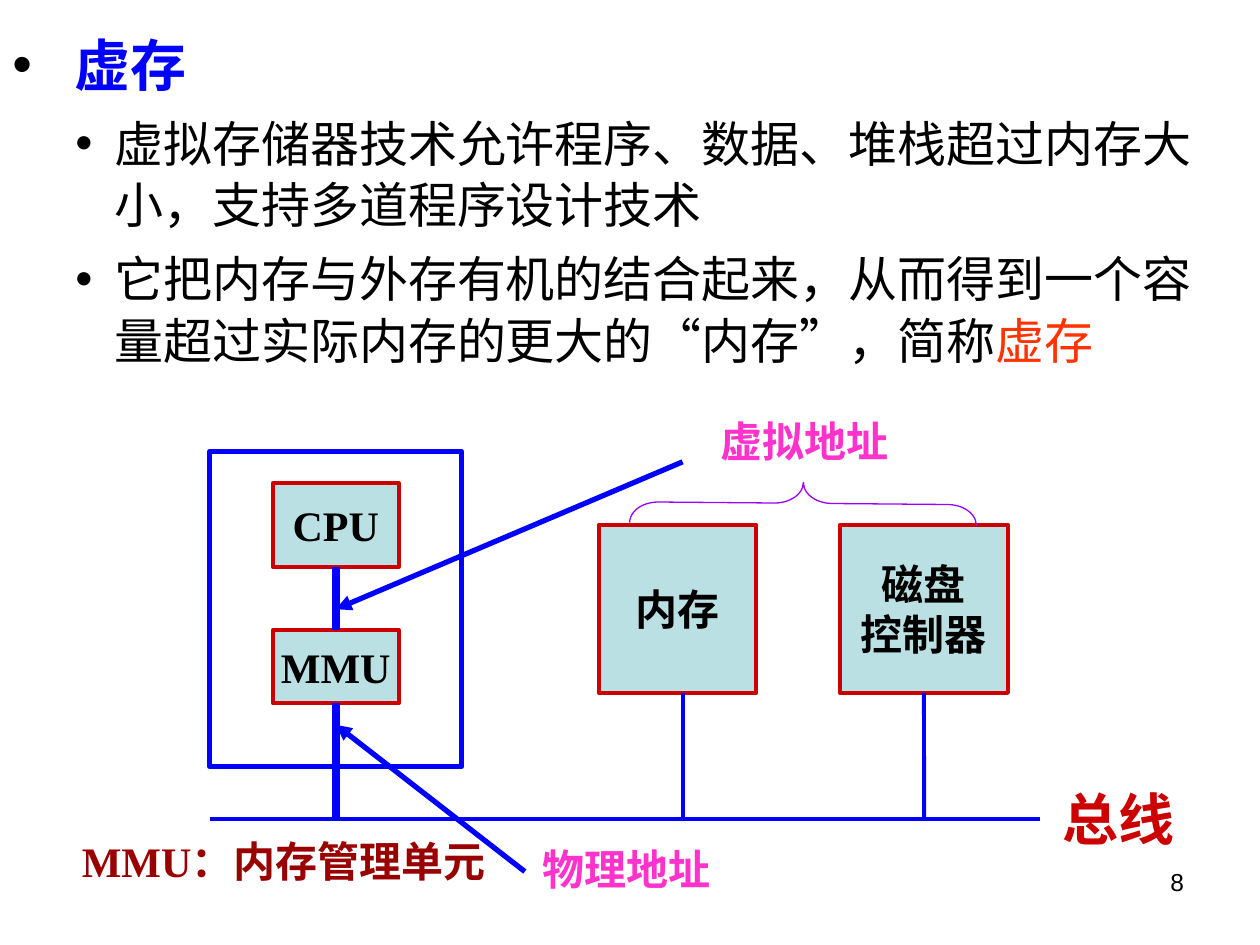
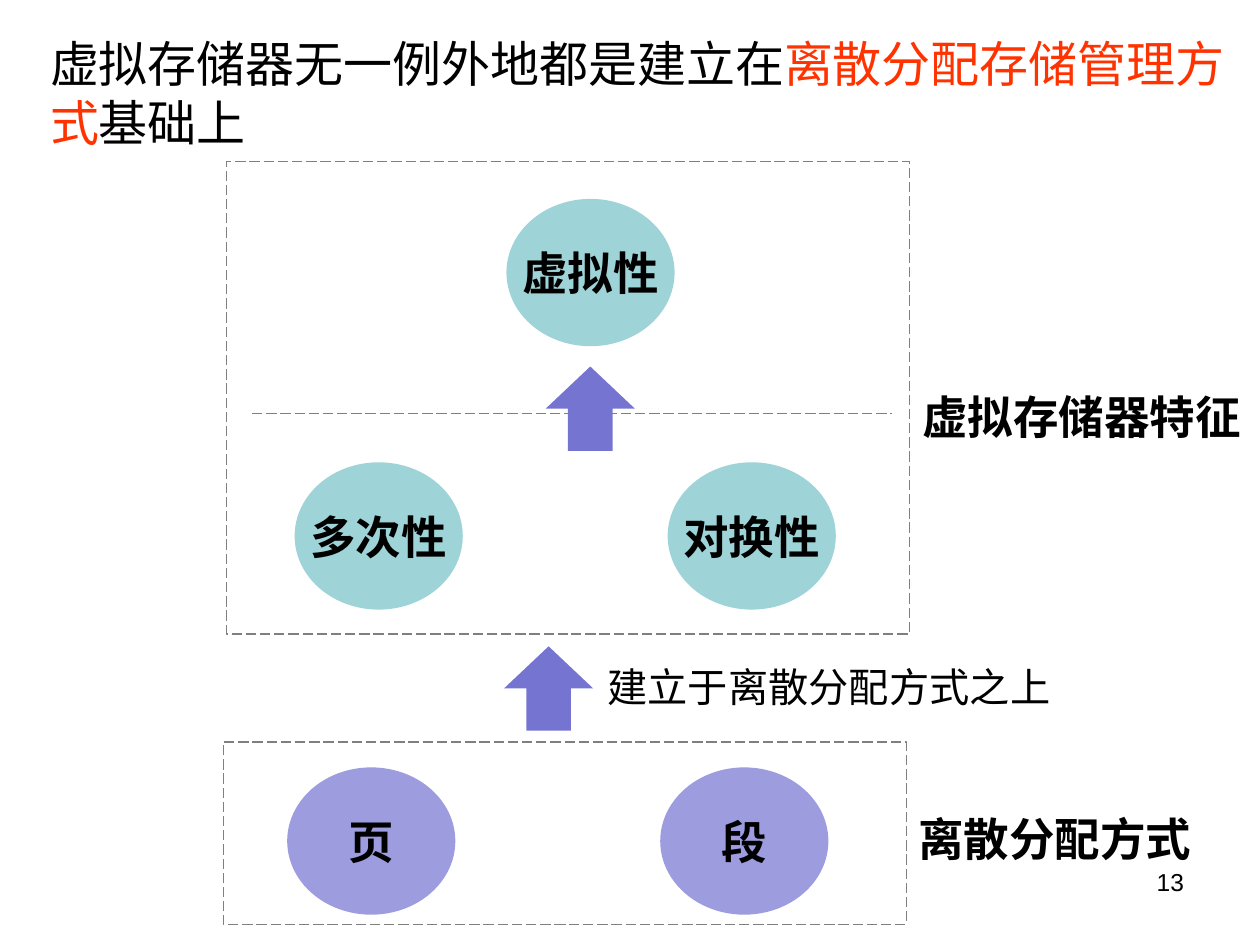
from dataclasses import dataclass

from lxml import etree
from pptx import Presentation
from pptx.dml.color import RGBColor
from pptx.enum.dml import MSO_LINE
from pptx.enum.shapes import MSO_CONNECTOR, MSO_SHAPE
from pptx.enum.text import MSO_ANCHOR, MSO_AUTO_SIZE, PP_ALIGN
from pptx.oxml.ns import qn
from pptx.shapes.autoshape import Shape
from pptx.shapes.connector import Connector
from pptx.slide import Slide
from pptx.text.text import TextFrame, _Paragraph
from pptx.util import Cm, Pt

RECT, OVAL = MSO_SHAPE.RECTANGLE, MSO_SHAPE.OVAL
ARROW, BRACE = MSO_SHAPE.UP_ARROW, MSO_SHAPE.LEFT_BRACE
LEFT, CENTER, RIGHT = PP_ALIGN.LEFT, PP_ALIGN.CENTER, PP_ALIGN.RIGHT
MIDDLE = MSO_ANCHOR.MIDDLE
GROW = MSO_AUTO_SIZE.SHAPE_TO_FIT_TEXT
DASH = MSO_LINE.LONG_DASH
STRAIGHT = MSO_CONNECTOR.STRAIGHT
TOP, BOTTOM = 0, 2

BLACK = RGBColor(0x00, 0x00, 0x00)
BLUE = RGBColor(0x00, 0x00, 0xFF)
RED = RGBColor(0xCC, 0x00, 0x00)
DARK_RED = RGBColor(0x99, 0x00, 0x00)
ORANGE = RGBColor(0xFF, 0x33, 0x00)
PINK = RGBColor(0xFF, 0x33, 0xCC)
PURPLE = RGBColor(0x99, 0x00, 0xFF)
GRAY = RGBColor(0x7F, 0x7F, 0x7F)
PALE = RGBColor(0xBB, 0xE0, 0xE3)
TEAL = RGBColor(0x9E, 0xD3, 0xD7)
LILAC = RGBColor(0x9C, 0x9C, 0xDF)
INDIGO = RGBColor(0x75, 0x75, 0xD1)

SANS, SERIF = "Arial", "Times New Roman"
Run = tuple[str, RGBColor]


@dataclass(frozen=True)
class Block:
    x: float
    y: float
    w: float
    h: float
    text: str = ""
    kind: MSO_SHAPE = RECT
    fill: RGBColor | None = None
    line: RGBColor | None = None
    width: float = 2.25
    dashed: bool = False
    size: float = 24


@dataclass(frozen=True)
class Label:
    text: str
    x: float
    y: float
    w: float
    h: float
    size: float = 24
    color: RGBColor = BLACK
    bold: bool = True
    align: PP_ALIGN = LEFT
    font: str = SERIF


@dataclass(frozen=True)
class Wire:
    x1: float
    y1: float
    x2: float
    y2: float
    width: float = 2.25
    color: RGBColor = BLUE
    head: bool = False
    dashed: bool = False


@dataclass(frozen=True)
class Point:
    runs: tuple[Run, ...]
    size: float
    margin: float
    hang: float
    level: int = 0
    before: float = 0
    bold: bool = False


def set_font(para: _Paragraph, name: str, size: float, bold: bool) -> None:
    para.font.name = name
    para.font.size = Pt(size)
    para.font.bold = bold


def add_runs(para: _Paragraph, runs: tuple[Run, ...]) -> None:
    for text, color in runs:
        run = para.add_run()
        run.text = text
        run.font.color.rgb = color


def write(frame: TextFrame, text: str, name: str, size: float, color: RGBColor,
          bold: bool, align: PP_ALIGN) -> None:
    frame.text = text
    for para in frame.paragraphs:
        para.alignment = align
        set_font(para, name, size, bold)
        para.font.color.rgb = color


def add_block(slide: Slide, block: Block) -> Shape:
    shape = slide.shapes.add_shape(
        block.kind, Cm(block.x), Cm(block.y), Cm(block.w), Cm(block.h))
    shape.shadow.inherit = False
    if block.fill is None:
        shape.fill.background()
    else:
        shape.fill.solid()
        shape.fill.fore_color.rgb = block.fill
    if block.line is None:
        shape.line.fill.background()
    else:
        shape.line.color.rgb = block.line
        shape.line.width = Pt(block.width)
    if block.dashed:
        shape.line.dash_style = DASH
    if block.text:
        frame = shape.text_frame
        frame.word_wrap = False
        frame.vertical_anchor = MIDDLE
        write(frame, block.text, SERIF, block.size, BLACK, True, CENTER)
    return shape


def add_label(slide: Slide, label: Label) -> None:
    box = slide.shapes.add_textbox(
        Cm(label.x), Cm(label.y), Cm(label.w), Cm(label.h))
    frame = box.text_frame
    frame.word_wrap = False
    frame.auto_size = GROW
    write(frame, label.text, label.font, label.size, label.color,
          label.bold, label.align)


def add_wire(slide: Slide, wire: Wire) -> Connector:
    line = slide.shapes.add_connector(
        STRAIGHT, Cm(wire.x1), Cm(wire.y1), Cm(wire.x2), Cm(wire.y2))
    line.line.color.rgb = wire.color
    line.line.width = Pt(wire.width)
    if wire.dashed:
        line.line.dash_style = DASH
    if wire.head:
        etree.SubElement(line.line._get_or_add_ln(), qn("a:tailEnd"), type="triangle")
    etree.SubElement(line._element.spPr, qn("a:effectLst"))
    return line


def add_point(para: _Paragraph, point: Point) -> None:
    props = para._p.get_or_add_pPr()
    props.set("marL", str(Cm(point.margin)))
    props.set("indent", str(-Cm(point.hang)))
    tint = etree.SubElement(props, qn("a:buClr"))
    etree.SubElement(tint, qn("a:srgbClr"), val=str(BLACK))
    etree.SubElement(props, qn("a:buFont"), typeface=SANS)
    etree.SubElement(props, qn("a:buChar"), char="•")
    para.level = point.level
    para.line_spacing = 1.05
    para.space_before = Pt(point.before)
    set_font(para, SANS, point.size, point.bold)
    add_runs(para, point.runs)


def add_page(deck: Presentation, number: int) -> Slide:
    slide = deck.slides.add_slide(deck.slide_layouts[6])
    add_label(slide, Label(str(number), 18.2, 17.36, 5.92, 1.32, 14,
                           bold=False, align=RIGHT, font=SANS))
    return slide


def add_body(slide: Slide) -> None:
    points = (
        Point((("虚存", BLUE),), 32, 1.25, 1.25, bold=True),
        Point((("虚拟存储器技术允许程序、数据、堆栈超过内存大小，支持多道程序设计技术", BLACK),),
              28, 2.06, 0.79, 1, 7),
        Point((("它把内存与外存有机的结合起来，从而得到一个容量超过实际内存的更大的“内存”，简称", BLACK),
               ("虚存", ORANGE)), 28, 2.06, 0.79, 1, 7),
    )
    frame = slide.shapes.add_textbox(Cm(0), Cm(0.43), Cm(24.97), Cm(7.62)).text_frame
    frame.word_wrap = True
    for index, point in enumerate(points):
        add_point(frame.add_paragraph() if index else frame.paragraphs[0], point)


def build_bus(deck: Presentation) -> None:
    slide = add_page(deck, 8)
    add_body(slide)
    cpu, mmu, _, disk = [
        add_block(slide, Block(x, y, w, h, text, fill=PALE, line=RED))
        for text, x, y, w, h in (
            ("CPU", 5.5, 9.74, 2.54, 1.69),
            ("MMU", 5.5, 12.7, 2.54, 1.48),
            ("内存", 12.07, 10.58, 3.18, 3.39),
            ("磁盘\n控制器", 16.93, 10.58, 3.39, 3.39),
        )
    ]
    bus = 16.51
    link = add_wire(slide, Wire(6.77, 11.43, 6.77, 12.7, 4.5))
    link.begin_connect(cpu, BOTTOM)
    link.end_connect(mmu, TOP)
    add_wire(slide, Wire(6.77, 14.18, 6.77, bus, 4.5)).begin_connect(mmu, BOTTOM)
    add_wire(slide, Wire(4.23, bus, 20.96, bus))
    add_wire(slide, Wire(13.76, 13.97, 13.76, bus))
    add_wire(slide, Wire(18.63, 13.97, 18.63, bus)).begin_connect(disk, BOTTOM)
    add_block(slide, Block(4.23, 9.1, 5.08, 6.35, line=BLUE, width=3))
    add_wire(slide, Wire(13.76, 9.31, 6.77, 12.28, 3, head=True))
    add_wire(slide, Wire(10.58, 17.57, 6.77, 14.61, 3, head=True))
    for label in (
        Label("总线", 21.16, 15.7, 2.77, 1.63, 32, RED),
        Label("虚拟地址", 14.27, 8.26, 3.89, 1.27, color=PINK),
        Label("物理地址", 10.69, 16.87, 3.89, 1.27, color=PINK),
        Label("MMU：内存管理单元", 1.4, 16.71, 8.84, 1.27, color=DARK_RED),
    ):
        add_label(slide, label)
    brace = add_block(slide, Block(15.77, 6.65, 0.84, 6.99, kind=BRACE,
                                   line=PURPLE, width=0.75))
    brace.adjustments[0] = 0.69
    brace.rotation = 90.5


def build_traits(deck: Presentation) -> None:
    slide = add_page(deck, 13)
    gap = 7.52
    for text, x, y, fill in (
        ("页", 5.79, 15.47, LILAC),
        ("段", 5.79 + gap, 15.47, LILAC),
        ("虚拟性", 10.21, 4.01, TEAL),
        ("多次性", 5.94, 9.32, TEAL),
        ("对换性", 5.94 + gap, 9.32, TEAL),
    ):
        add_block(slide, Block(x, y, 3.39, 2.97, text, OVAL, fill, size=26))
    for x, y, h in ((4.5, 14.96, 3.68), (4.57, 3.25, 9.53)):
        add_block(slide, Block(x, y, 13.77, h, line=GRAY, width=0.75, dashed=True))
    add_wire(slide, Wire(5.08, 8.33, 17.98, 8.33, 0.75, GRAY, dashed=True))
    for x, y in ((10.16, 13.03), (11, 7.39)):
        add_block(slide, Block(x, y, 1.8, 1.7, kind=ARROW, fill=INDIGO))
    for label in (
        Label("离散分配方式", 18.26, 16.23, 6.02, 1.37, 26, align=CENTER),
        Label("建立于离散分配方式之上", 11.99, 13.23, 9.45, 1.24, 23,
              bold=False, align=CENTER),
        Label("虚拟存储器特征", 18.34, 7.72, 6.93, 1.37, 26, align=CENTER),
    ):
        add_label(slide, label)
    frame = slide.shapes.add_textbox(Cm(0.76), Cm(0.56), Cm(24.56), Cm(2.64)).text_frame
    frame.word_wrap = True
    frame.auto_size = GROW
    para = frame.paragraphs[0]
    set_font(para, SERIF, 28, False)
    add_runs(para, (("虚拟存储器无一例外地都是建立在", BLACK),
                    ("离散分配存储管理方式", ORANGE), ("基础上", BLACK)))


def main() -> None:
    deck = Presentation()
    deck.slide_width, deck.slide_height = Cm(25.4), Cm(19.05)
    build_bus(deck)
    build_traits(deck)
    deck.save("out.pptx")


if __name__ == "__main__":
    main()
